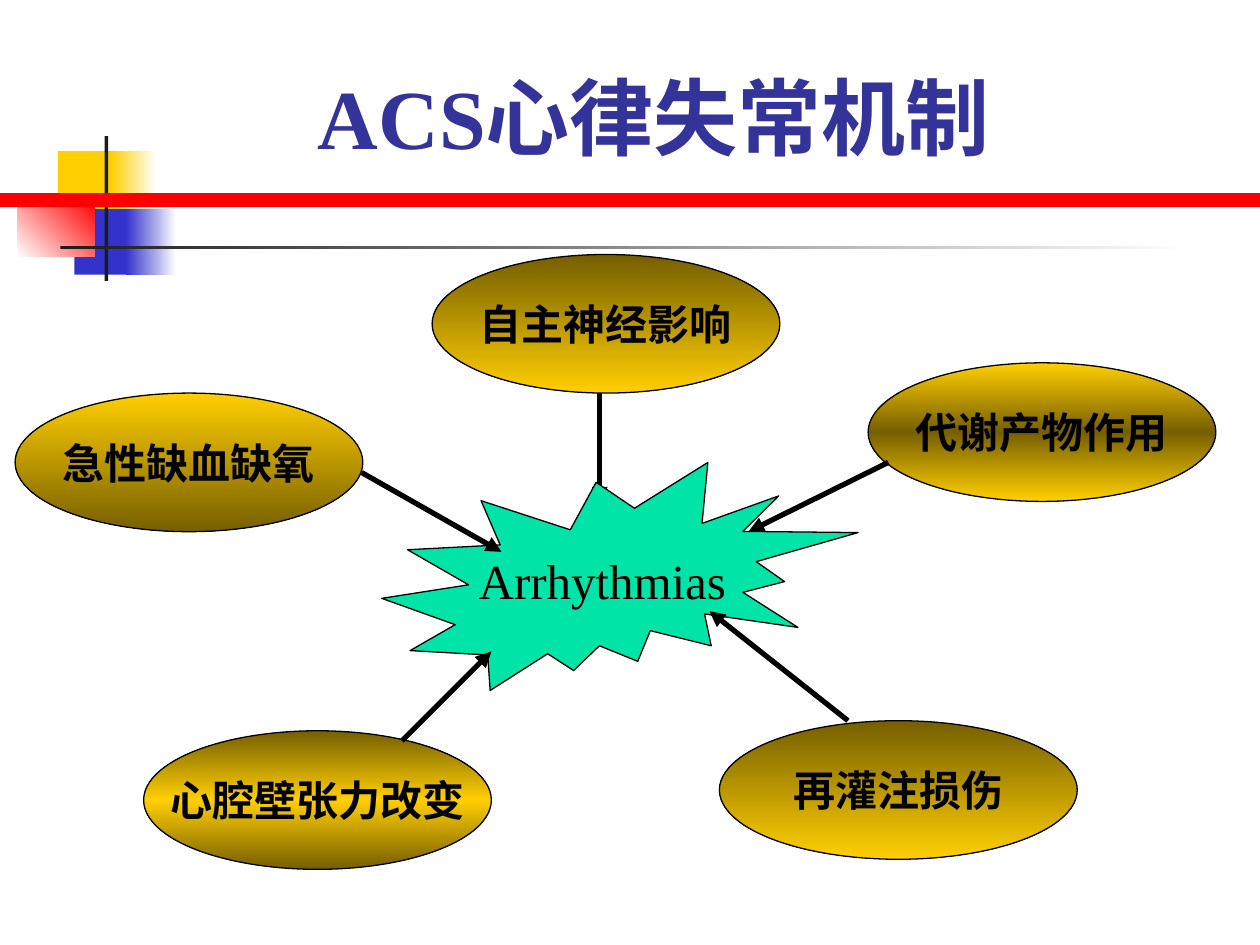
"""Build the slide on the mechanisms of arrhythmia in ACS."""
from dataclasses import dataclass
from typing import NamedTuple

from lxml import etree
from pptx import Presentation
from pptx.dml.color import RGBColor
from pptx.enum import shapes, text
from pptx.oxml import ns
from pptx.util import Inches, Pt


@dataclass(frozen=True)
class Theme:
    """Colours, fonts and type sizes of the slide."""
    gold: str = "FFCF01"
    bronze: str = "765F00"
    blue: str = "3333CC"
    navy: str = "333399"
    red: str = "FF0000"
    teal: str = "00E4A8"
    charcoal: str = "1C1C1C"
    black: str = "000000"
    white: str = "FFFFFF"
    latin: str = "Times New Roman"
    east_asian: str = "Noto Sans CJK SC"
    title: int = 48
    cause: int = 24
    outcome: int = 28


class Box(NamedTuple):
    left: float
    top: float
    width: float
    height: float


class Figure(NamedTuple):
    box: Box
    colours: tuple
    angle: int = 0
    preset: shapes.MSO_SHAPE = shapes.MSO_SHAPE.RECTANGLE
    label: str = ""
    size: int = 0
    bold: bool = True


class Arrow(NamedTuple):
    start: tuple
    end: tuple
    colour: str
    weight: float
    head: bool = True


THEME = Theme()
FADE_DOWN = (THEME.gold, THEME.bronze)
FADE_UP = FADE_DOWN[::-1]

DECORATION = [
    Figure(Box(0.46, 1.2, 0.48, 0.52), (THEME.gold,)),
    Figure(Box(0.88, 1.2, 0.36, 0.52), (THEME.gold, THEME.white)),
    Figure(Box(0.59, 1.66, 0.46, 0.52), (THEME.blue,)),
    Figure(Box(1, 1.66, 0.4, 0.52), (THEME.blue, THEME.white)),
    Figure(Box(0.14, 1.58, 0.61, 0.46), (THEME.white, THEME.red), 315),
    Figure(Box(0.83, 1.08, 0.03, 1.15), (THEME.charcoal,)),
    Figure(Box(0.48, 1.95, 9, 0.03), (THEME.charcoal, THEME.white)),
]


def cause(label: str, left: float, top: float, colours: tuple, width: float = 2.76) -> Figure:
    """Describe one cause as a labelled ellipse."""
    return Figure(Box(left, top, width, 1.1), colours, 90,
                  shapes.MSO_SHAPE.OVAL, label, THEME.cause)


CAUSES = [
    cause("急性缺血缺氧", 0.12, 3.12, FADE_DOWN),
    cause("自主神经影响", 3.43, 2.02, FADE_UP),
    cause("代谢产物作用", 6.89, 2.88, FADE_DOWN + FADE_DOWN[:1]),
    cause("心腔壁张力改变", 1.14, 5.8, FADE_UP + FADE_UP[:1]),
    cause("再灌注损伤", 5.71, 5.72, FADE_UP, 2.84),
]
OUTCOME = Figure(Box(3.03, 3.67, 3.78, 1.81), (THEME.teal,), 0,
                 shapes.MSO_SHAPE.EXPLOSION2, "Arrhythmias", THEME.outcome, False)
RULE = Arrow((0, 1.59), (10, 1.59), THEME.red, 8, False)
TOP_ARROW, *SIDE_ARROWS = [
    Arrow(start, end, THEME.black, 3) for start, end in (
        ((4.76, 3.12), (4.76, 3.99)),
        ((7.05, 3.67), (5.94, 4.22)),
        ((2.87, 3.75), (3.98, 4.38)),
        ((3.19, 5.88), (3.9, 5.17)),
        ((6.73, 5.72), (5.63, 4.85)),
    )
]


def apply(target, values: dict) -> None:
    """Set each named attribute on the target."""
    for name, value in values.items():
        setattr(target, name, value)


def write(paragraph, words: str, size: int, colour: str, bold: bool) -> None:
    """Add one centred, formatted run to a paragraph."""
    paragraph.alignment = text.PP_ALIGN.CENTER
    run = paragraph.add_run()
    run.text = words
    apply(run.font, {"size": Pt(size), "bold": bold, "name": THEME.latin})
    run.font.color.rgb = RGBColor.from_string(colour)
    latin = run.font._element.find(ns.qn("a:latin"))
    latin.addnext(latin.makeelement(ns.qn("a:ea"), {"typeface": THEME.east_asian}))


def paint(shape, colours: tuple, angle: int) -> None:
    """Fill a shape with one colour or with evenly spaced gradient stops."""
    if len(colours) == 1:
        shape.fill.solid()
        shape.fill.fore_color.rgb = RGBColor.from_string(colours[0])
        return
    shape.fill.gradient()
    gradient = shape._element.spPr.find(ns.qn("a:gradFill"))
    for child in list(gradient):
        gradient.remove(child)
    stops = etree.SubElement(gradient, ns.qn("a:gsLst"))
    for index, colour in enumerate(colours):
        position = 100000 * index // (len(colours) - 1)
        stop = etree.SubElement(stops, ns.qn("a:gs"), pos=str(position))
        etree.SubElement(stop, ns.qn("a:srgbClr"), val=colour)
    etree.SubElement(gradient, ns.qn("a:lin"), ang=str(angle * 60000), scaled="0")


def draw_figure(slide, figure: Figure) -> None:
    """Draw a preset shape, outlined and lettered if it has a label."""
    shape = slide.shapes.add_shape(figure.preset, *map(Inches, figure.box))
    shape.shadow.inherit = False
    paint(shape, figure.colours, figure.angle)
    if not figure.label:
        shape.line.fill.background()
        return
    shape.line.color.rgb = RGBColor.from_string(THEME.black)
    shape.line.width = Pt(0.75)
    apply(shape.text_frame, {"word_wrap": False, "vertical_anchor": text.MSO_ANCHOR.MIDDLE})
    write(shape.text_frame.paragraphs[0], figure.label, figure.size, THEME.black, figure.bold)


def draw_arrow(slide, arrow: Arrow) -> None:
    """Draw a straight line, with a triangular head if asked for."""
    connector = slide.shapes.add_connector(
        shapes.MSO_CONNECTOR.STRAIGHT, *map(Inches, arrow.start + arrow.end))
    connector.line.color.rgb = RGBColor.from_string(arrow.colour)
    connector.line.width = Pt(arrow.weight)
    if arrow.head:
        etree.SubElement(connector.line._get_or_add_ln(), ns.qn("a:tailEnd"), type="triangle")
    etree.SubElement(connector._element.spPr, ns.qn("a:effectLst"))


def draw_title(slide, words: str) -> None:
    """Place and format the title."""
    title = slide.shapes.title
    apply(title, dict(zip(Box._fields, map(Inches, Box(2.32, 0.47, 5.74, 0.9)))))
    apply(title.text_frame, {
        "word_wrap": True,
        "auto_size": text.MSO_AUTO_SIZE.NONE,
        "vertical_anchor": text.MSO_ANCHOR.MIDDLE,
    })
    write(title.text_frame.paragraphs[0], words, THEME.title, THEME.navy, True)


def main() -> None:
    """Build and save the presentation."""
    deck = Presentation()
    apply(deck, {"slide_width": Inches(10), "slide_height": Inches(7.5)})
    slide = deck.slides.add_slide(deck.slide_layouts[5])
    draw_title(slide, "ACS心律失常机制")
    for figure in DECORATION:
        draw_figure(slide, figure)
    draw_arrow(slide, RULE)
    for figure in CAUSES:
        draw_figure(slide, figure)
    draw_arrow(slide, TOP_ARROW)
    draw_figure(slide, OUTCOME)
    for arrow in SIDE_ARROWS:
        draw_arrow(slide, arrow)
    deck.save("out.pptx")


if __name__ == "__main__":
    main()
